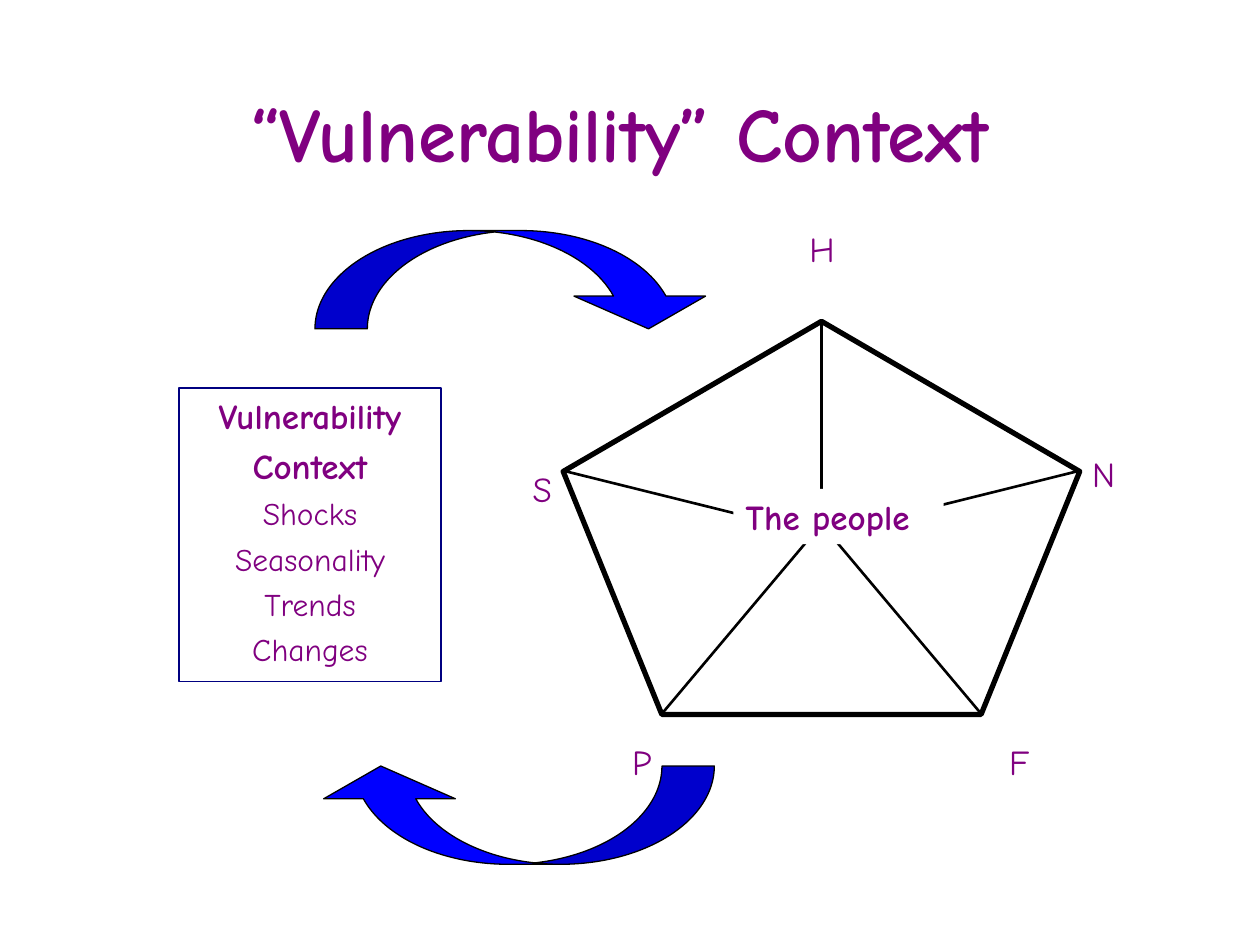
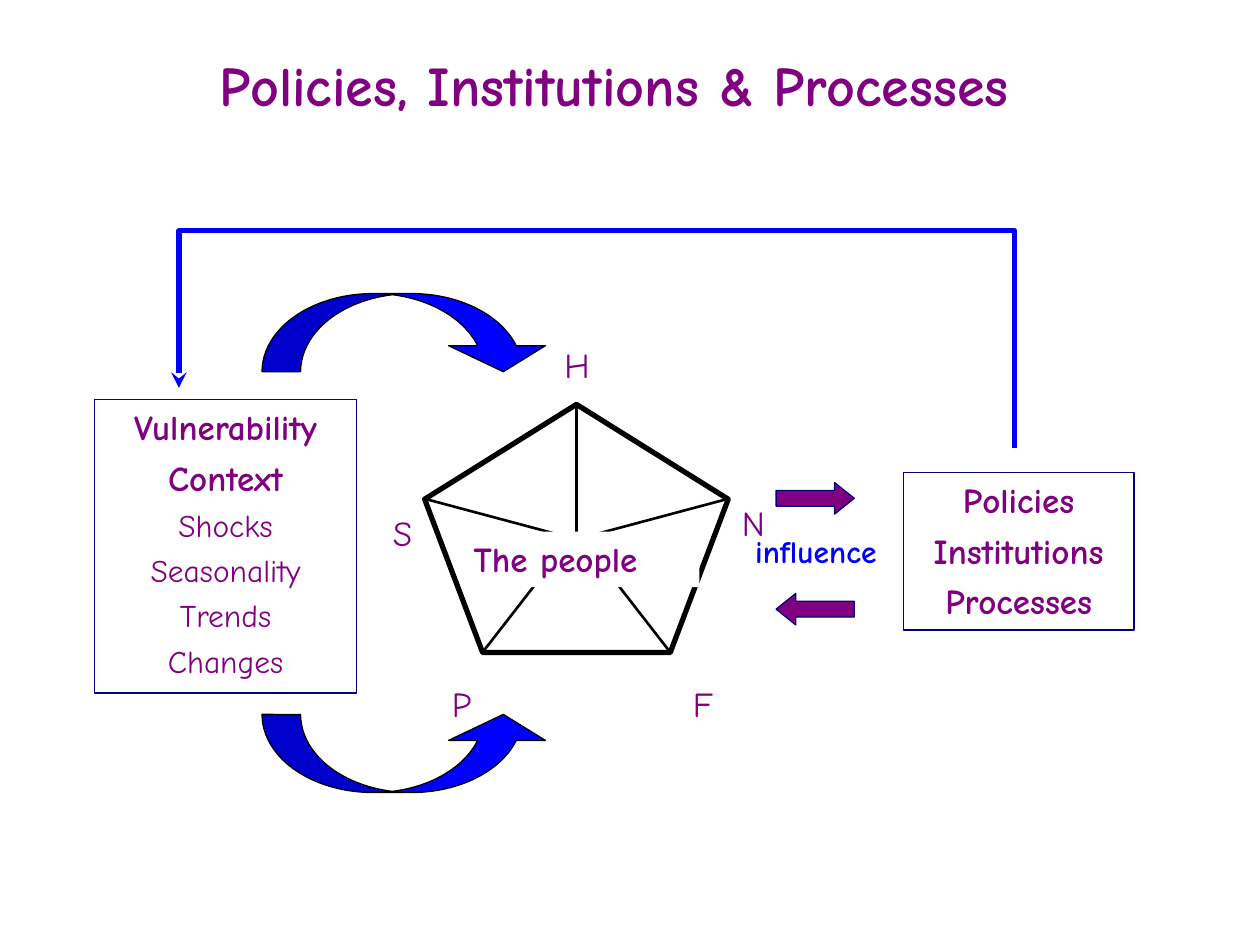
from dataclasses import dataclass

from lxml import etree
from pptx import Presentation
from pptx import util as u
from pptx.dml.color import RGBColor
from pptx.enum import shapes, text
from pptx.oxml.ns import qn


@dataclass
class Theme:
    font: str = "Comic Neue"
    purple: RGBColor = RGBColor(0x80, 0x00, 0x80)
    blue: RGBColor = RGBColor(0x00, 0x00, 0xFF)
    navy: RGBColor = RGBColor(0x00, 0x00, 0x80)
    black: RGBColor = RGBColor(0x00, 0x00, 0x00)
    white: RGBColor = RGBColor(0xFF, 0xFF, 0xFF)
    head: int = 20
    item: int = 18
    thin: float = 0.75
    spoke: float = 1.5
    thick: float = 3


theme = Theme()
Kind = shapes.MSO_SHAPE
Align = text.PP_ALIGN
Anchor = text.MSO_ANCHOR


def draw(slide, kind, box, fill=None, line=None, width=theme.thin, adj=(), flip=""):
    """Add a preset shape; flip holds any of the letters H and V."""
    shape = slide.shapes.add_shape(kind, *map(u.Inches, box))
    shape.shadow.inherit = False
    if fill is None:
        shape.fill.background()
    else:
        shape.fill.solid()
        shape.fill.fore_color.rgb = fill
    if line is None:
        shape.line.fill.background()
    else:
        shape.line.color.rgb = line
        shape.line.width = u.Pt(width)
    for i, value in enumerate(adj):
        shape.adjustments[i] = value
    for axis in flip:
        shape._element.spPr.xfrm.set("flip" + axis, "1")
    return shape


def write(shape, lines, align=Align.CENTER, anchor=Anchor.TOP, color=theme.purple, wrap=True):
    """Fill a shape with lines, each given as (words, size, bold)."""
    frame = shape.text_frame
    frame.word_wrap = wrap
    frame.vertical_anchor = anchor
    for i, (words, size, bold) in enumerate(lines):
        para = frame.add_paragraph() if i else frame.paragraphs[0]
        para.text = words
        para.alignment = align
        para.space_before = u.Pt(round(size * 0.24, 1) if i else 0)
        para.font.name = theme.font
        para.font.size = u.Pt(size)
        para.font.bold = bold
        para.font.color.rgb = color


context = [(word, theme.head, True) for word in ("Vulnerability", "Context")]
context += [(word, theme.item, False) for word in ("Shocks", "Seasonality", "Trends", "Changes")]

# Corners of a pentagon as shares of its width and height, with the side its spoke meets
corners = [(0.5, 0, 0), (1, 0.38, 1), (0.81, 1, 1), (0.19, 1, -1), (0, 0.38, -1)]

# Each label: letter, left, middle, width, alignment
pages = [
    dict(
        title="“Vulnerability” Context", size=44, top=(0.67, 0.42, 8.5, 1.25),
        pent=(4.47, 2.55, 4.1, 3.12), hub=4.23, gap=0.06,
        people=(5.82, 3.88, 1.67, 0.44), context=(1.42, 3.08),
        labels=[("H", 6.16, 1.99, 0.73, Align.CENTER), ("N", 8.57, 3.77, 0.51, Align.LEFT),
                ("F", 7.91, 6.06, 0.42, Align.LEFT), ("P", 4.75, 6.06, 0.52, Align.RIGHT),
                ("S", 3.92, 3.89, 0.56, Align.RIGHT)],
        curves=[((2.5, 1.83, 3.17, 0.78), ""), ((2.5, 6.08, 3.17, 0.78), "HV")],
        bend=(0.533, 1.34, 0.333),
    ),
    dict(
        title="Policies, Institutions & Processes", size=32, top=(0.5, 0.25, 8.75, 0.83),
        pent=(3.37, 3.21, 2.41, 1.97), hub=4.27, gap=0.04,
        people=(3.66, 4.22, 1.89, 0.44), context=(0.75, 3.17),
        labels=[("H", 4.23, 2.91, 0.7, Align.CENTER), ("N", 5.79, 4.16, 0.55, Align.LEFT),
                ("F", 5.4, 5.6, 0.47, Align.LEFT), ("P", 3.22, 5.6, 0.62, Align.RIGHT),
                ("S", 2.75, 4.24, 0.62, Align.RIGHT)],
        curves=[((2.08, 2.33, 2.3, 0.62), ""), ((2.08, 5.67, 2.3, 0.62), "V")],
        bend=(0.494, 1.241, 0.333),
    ),
]

deck = Presentation()
deck.slide_width, deck.slide_height = u.Inches(10), u.Inches(7.5)

for page in pages:
    slide = deck.slides.add_slide(deck.slide_layouts[5])
    title = slide.shapes.title
    title.left, title.top, title.width, title.height = map(u.Inches, page["top"])
    write(title, [(page["title"], page["size"], True)], anchor=Anchor.MIDDLE)

    left, top, width, height = page["pent"]
    for x, y, side in corners:
        ends = (left + x * width, top + y * height,
                left + width / 2 + side * page["gap"], page["hub"])
        spoke = slide.shapes.add_connector(shapes.MSO_CONNECTOR.STRAIGHT, *map(u.Inches, ends))
        spoke.line.color.rgb = theme.black
        spoke.line.width = u.Pt(theme.spoke)
        etree.SubElement(spoke._element.spPr, qn("a:effectLst"))
    draw(slide, Kind.REGULAR_PENTAGON, page["pent"], line=theme.black, width=theme.thick)

    for letter, x, middle, span, align in page["labels"]:
        label = slide.shapes.add_textbox(*map(u.Inches, (x, middle - 0.23, span, 0.43)))
        write(label, [(letter, theme.head, False)], align, Anchor.MIDDLE)

    people = draw(slide, Kind.RECTANGLE, page["people"], theme.white)
    write(people, [("The people", theme.head, True)], Align.LEFT, wrap=False)

    for box, flip in page["curves"]:
        draw(slide, Kind.CURVED_DOWN_ARROW, box, theme.blue, theme.black,
             adj=page["bend"], flip=flip)

    panel = draw(slide, Kind.RECTANGLE, (*page["context"], 2.08, 2.33), theme.white, theme.navy)
    write(panel, context)

# Second slide: the policies panel, its exchange with the people, and the way back
panel = draw(slide, Kind.RECTANGLE, (7.17, 3.75, 1.83, 1.25), theme.white, theme.navy)
write(panel, [(word, theme.head, True) for word in ("Policies", "Institutions", "Processes")])

for y, flip in ((3.83, ""), (4.71, "H")):
    draw(slide, Kind.RIGHT_ARROW, (6.16, y, 0.62, 0.25), theme.purple, theme.navy,
         adj=(0.5, 0.625), flip=flip)
label = slide.shapes.add_textbox(*map(u.Inches, (5.75, 4.17, 1.45, 0.34)))
write(label, [("influence", theme.item, True)], color=theme.blue)

start, *turns = [(u.Inches(x), u.Inches(y))
                 for x, y in ((8.05, 3.56), (8.05, 1.83), (1.42, 1.83), (1.42, 3.08))]
route = slide.shapes.build_freeform(*start)
route.add_line_segments(turns, close=False)
loop = route.convert_to_shape()
loop.shadow.inherit = False
loop.fill.background()
loop.line.color.rgb = theme.blue
loop.line.width = u.Pt(theme.thick)
etree.SubElement(loop.line._get_or_add_ln(), qn("a:tailEnd"), type="stealth")

deck.save("out.pptx")
